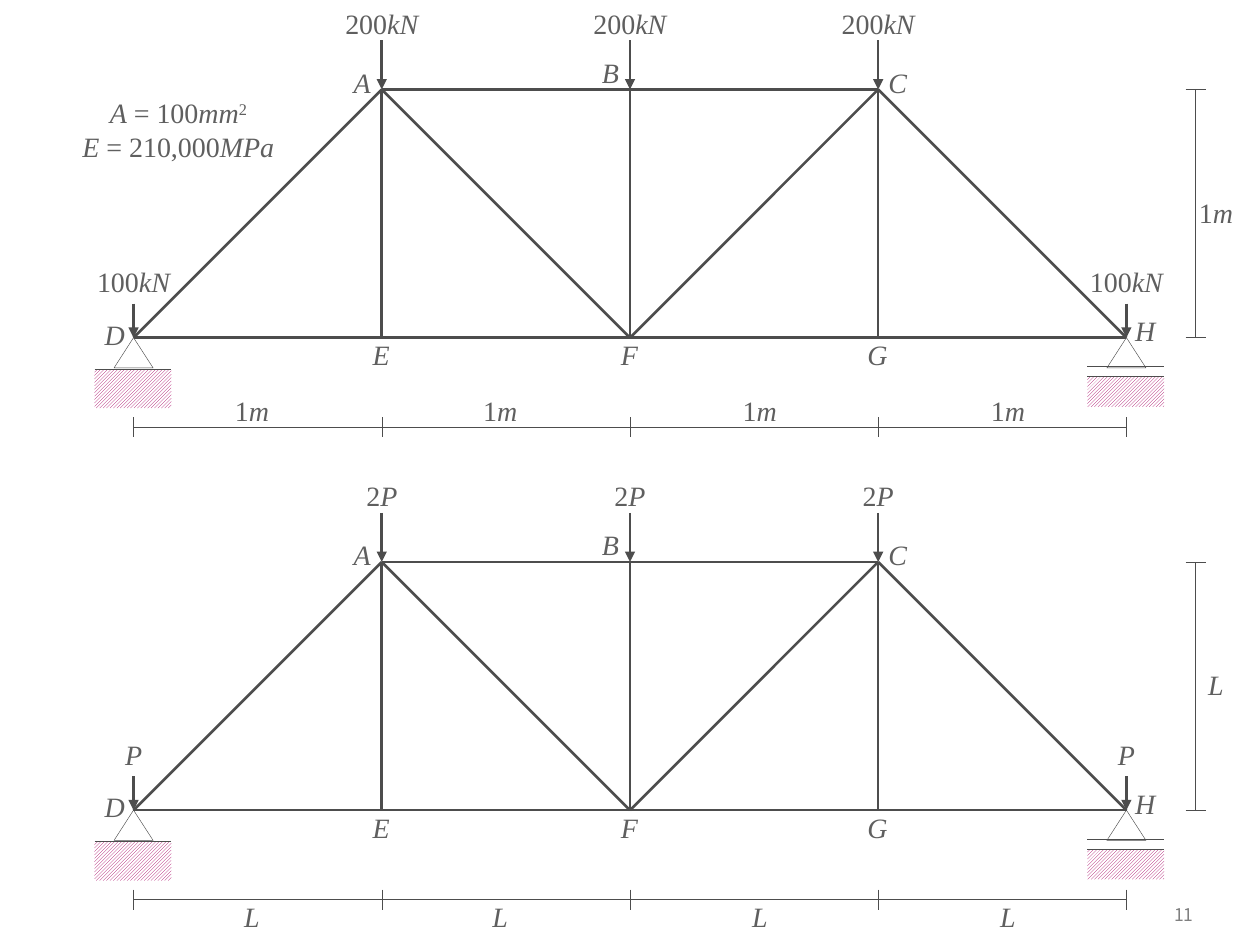
from dataclasses import dataclass
from itertools import groupby

from lxml import etree
from pptx import Presentation
from pptx.dml.color import RGBColor
from pptx.enum.dml import MSO_PATTERN
from pptx.enum.shapes import MSO_CONNECTOR, MSO_SHAPE
from pptx.enum.text import MSO_ANCHOR, PP_ALIGN
from pptx.oxml.ns import qn
from pptx.util import Inches, Pt

STRAIGHT = MSO_CONNECTOR.STRAIGHT
RECTANGLE = MSO_SHAPE.RECTANGLE
TRIANGLE = MSO_SHAPE.ISOSCELES_TRIANGLE
HATCH = MSO_PATTERN.LIGHT_UPWARD_DIAGONAL
CENTER = PP_ALIGN.CENTER
RIGHT = PP_ALIGN.RIGHT
MIDDLE = MSO_ANCHOR.MIDDLE

INK = "4D4D4D"
TEXT = "5F5F5F"
THIN = 0.25
THICK = 1.5
PANEL = 1.97
COLUMNS = [1.06 + PANEL * index for index in range(5)]
SPAN_CENTERS = [2.0, 3.97, 6.03, 8.0]
LABEL_HEIGHT = 0.24


@dataclass
class Truss:
    top: float
    joint_load: str
    end_load: str
    length: str
    span_label_offset: float
    label_width: float


@dataclass
class JointLabel:
    name: str
    left: float
    offset: float
    width: float = 0.31


TRUSSES = [
    Truss(0.71, "200kN", "100kN", "1m", 2.41, 0.63),
    Truss(4.46, "2P", "P", "L", 2.68, 0.31),
]
JOINT_LABELS = [
    JointLabel("A", 2.72, -0.19),
    JointLabel("B", 4.69, -0.27),
    JointLabel("C", 6.97, -0.19),
    JointLabel("D", 0.79, 1.81, 0.24),
    JointLabel("E", 2.87, 1.97),
    JointLabel("F", 4.84, 1.97),
    JointLabel("G", 6.81, 1.97),
    JointLabel("H", 8.97, 1.78, 0.24),
]
MEMBERS = ["DA", "DH", "FA", "FB", "HC", "FC", "CA", "GC", "EA"]
JOINT_COLUMNS = {"A": 1, "B": 2, "C": 3, "D": 0, "E": 1, "F": 2, "G": 3, "H": 4}
TOP_JOINTS = "ABC"


def color(value: str) -> RGBColor:
    return RGBColor.from_string(value)


def add_line(x1: float, y1: float, x2: float, y2: float,
             weight: float = THIN, arrow: bool = False) -> None:
    line = slide.shapes.add_connector(STRAIGHT, Inches(x1), Inches(y1), Inches(x2), Inches(y2))
    line.line.color.rgb = color(INK)
    line.line.width = Pt(weight)
    properties = line._element.spPr
    if arrow:
        etree.SubElement(properties.find(qn("a:ln")), qn("a:tailEnd"), type="triangle")
    etree.SubElement(properties, qn("a:effectLst"))


def add_text(lines: list[str], left: float, top: float, width: float, height: float) -> None:
    box = slide.shapes.add_textbox(Inches(left), Inches(top), Inches(width), Inches(height))
    frame = box.text_frame
    frame.word_wrap = True
    frame.margin_left = frame.margin_right = frame.margin_top = frame.margin_bottom = 0
    for index, line in enumerate(lines):
        para = frame.add_paragraph() if index else frame.paragraphs[0]
        para.alignment = CENTER
        para.font.size = Pt(16)
        para.font.name = "Times New Roman"
        para.font.color.rgb = color(TEXT)
        for (italic, raised), letters in groupby(line, lambda letter: (letter.isalpha(), letter == "²")):
            span = para.add_run()
            span.text = "2" if raised else "".join(letters)
            span.font.italic = italic
            if raised:
                span.font._element.set("baseline", "30000")


def add_label(text: str, center: float, top: float, width: float,
              height: float = LABEL_HEIGHT) -> None:
    add_text([text], center - width / 2, top, width, height)


def add_ground(center: float, top: float, height: float) -> None:
    ground = slide.shapes.add_shape(
        RECTANGLE, Inches(center - 0.31), Inches(top), Inches(0.61), Inches(height))
    ground.shadow.inherit = False
    ground.fill.patterned()
    ground.fill.pattern = HATCH
    ground.fill.fore_color.rgb = color("A90165")
    ground.fill.back_color.rgb = color("FFFFFF")
    ground.line.fill.background()
    add_line(center - 0.31, top, center + 0.3, top)


def add_support(center: float, base: float, roller: bool) -> None:
    if roller:
        add_ground(center, base + 0.31, 0.24)
        add_line(center - 0.31, base + 0.23, center + 0.3, base + 0.23)
    else:
        add_ground(center, base + 0.25, 0.31)
    support = slide.shapes.add_shape(
        TRIANGLE, Inches(center - 0.155), Inches(base), Inches(0.31), Inches(0.24))
    support.shadow.inherit = False
    support.fill.background()
    support.line.color.rgb = color(INK)
    support.line.width = Pt(THIN)


def add_load(text: str, column: float, joint: float, length: float, width: float) -> None:
    add_line(column, joint - length, column, joint, THICK, arrow=True)
    add_label(text, column, joint - length - 0.27 - (0.04 if length < 0.3 else 0), width)


def add_dimensions(truss: Truss, base: float) -> None:
    level = base + 0.71
    add_line(COLUMNS[0], level, COLUMNS[-1], level)
    for column in COLUMNS:
        add_line(column, level - 0.08, column, level + 0.08)
    for center in SPAN_CENTERS:
        add_label(truss.length, center, truss.top + truss.span_label_offset, truss.label_width, 0.28)
    for end in (base, truss.top):
        add_line(9.41, end, 9.57, end)
    add_line(9.49, base, 9.49, truss.top)
    add_label(truss.length, 9.65, truss.top + 0.84, 0.31)


def add_truss(truss: Truss) -> None:
    base = truss.top + PANEL
    add_support(COLUMNS[0], base, roller=False)
    add_support(COLUMNS[-1], base, roller=True)
    for member in MEMBERS:
        (x1, y1), (x2, y2) = [
            (COLUMNS[JOINT_COLUMNS[joint]], truss.top if joint in TOP_JOINTS else base)
            for joint in member]
        add_line(x1, y1, x2, y2, THICK)
    for column in COLUMNS[1:-1]:
        add_load(truss.joint_load, column, truss.top, 0.39, truss.label_width)
    for column in (COLUMNS[0], COLUMNS[-1]):
        add_load(truss.end_load, column, base, 0.27, truss.label_width)
    for label in JOINT_LABELS:
        add_text([label.name], label.left, truss.top + label.offset, label.width, LABEL_HEIGHT)
    add_dimensions(truss, base)


deck = Presentation()
deck.slide_width = Inches(10)
deck.slide_height = Inches(7.5)
slide = deck.slides.add_slide(deck.slide_layouts[6])

for truss in TRUSSES:
    add_truss(truss)
add_text(["A = 100mm²", "E = 210,000MPa"], 0.59, 0.76, 1.65, 0.55)

page_number = slide.shapes.add_textbox(Inches(8.86), Inches(7.09), Inches(0.71), Inches(0.33))
page_number.text_frame.word_wrap = True
page_number.text_frame.vertical_anchor = MIDDLE
number = page_number.text_frame.paragraphs[0]
number.text = "11"
number.alignment = RIGHT
number.font.size = Pt(10)
number.font.name = "Noto Sans CJK KR"
number.font.color.rgb = color("808080")

deck.save("out.pptx")
